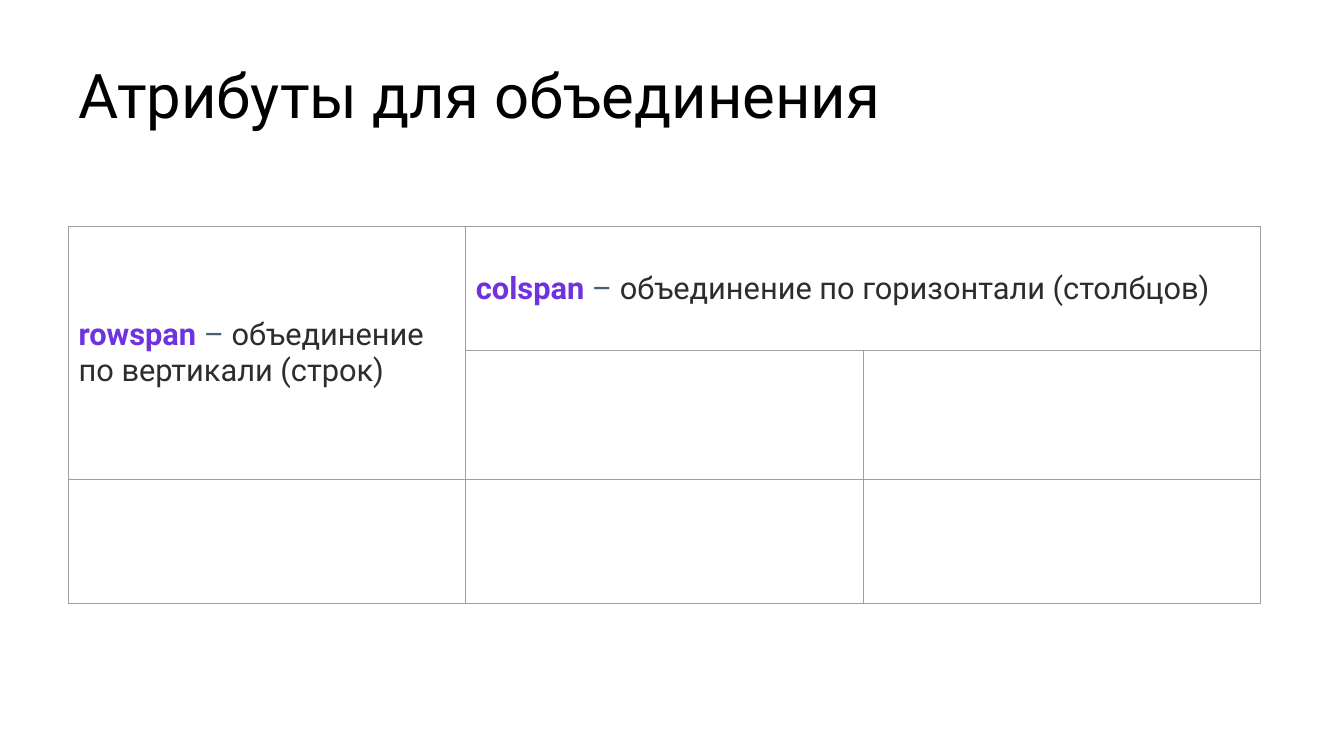
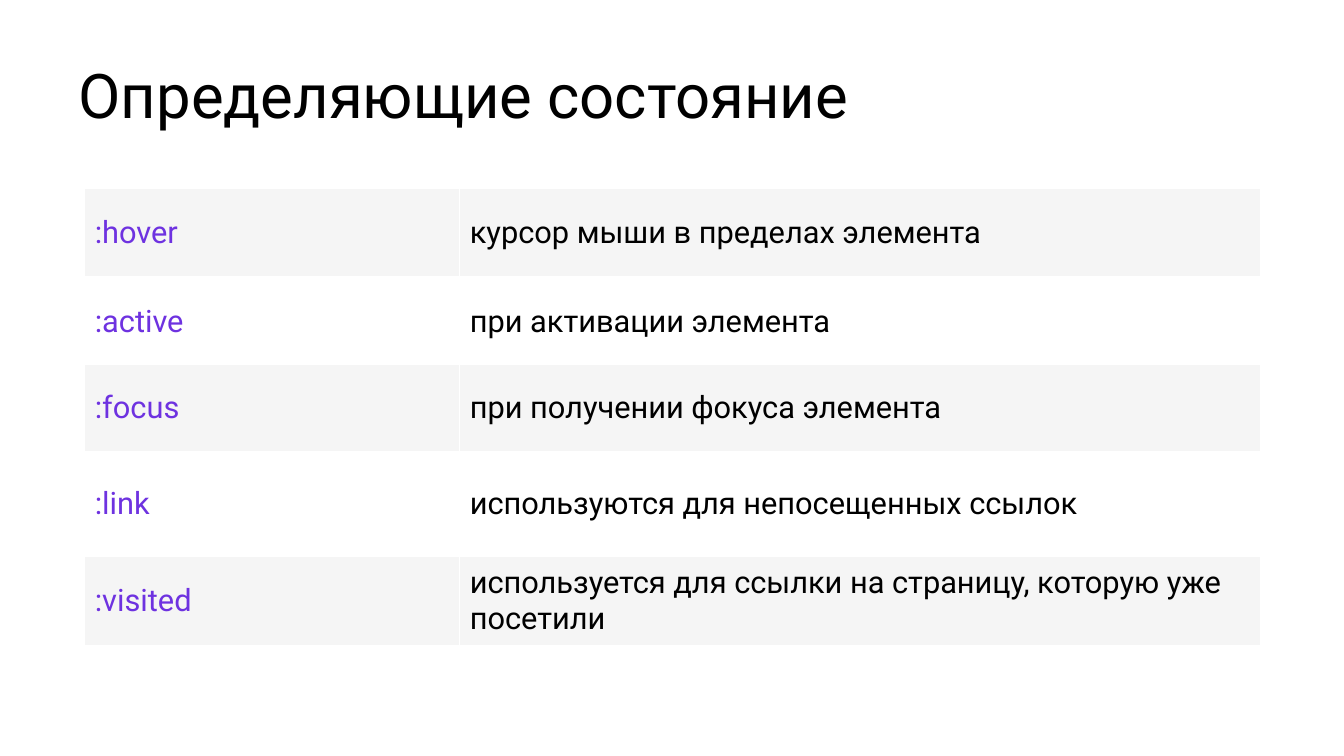
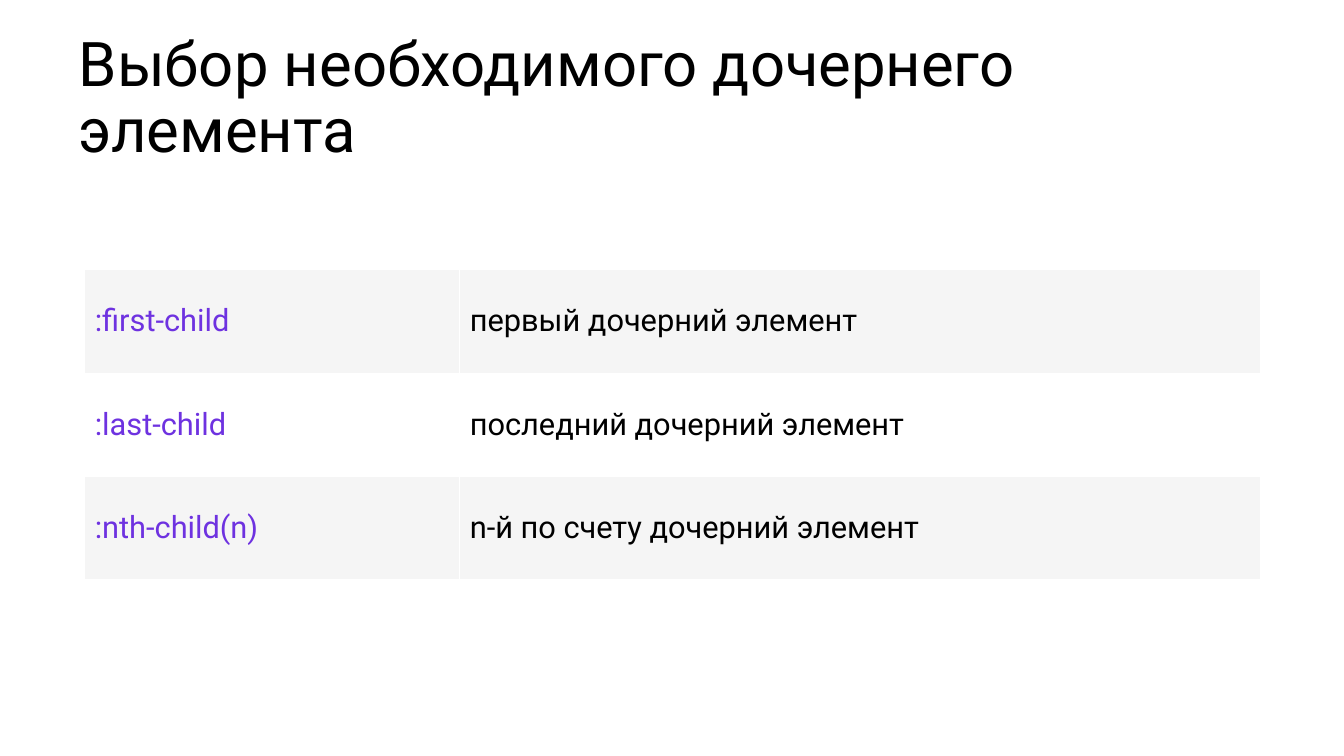
from lxml.etree import SubElement
from pptx import Presentation
from pptx.dml.color import RGBColor as RGB
from pptx.enum.text import MSO_ANCHOR as ANCHOR, MSO_AUTO_SIZE as AUTO, PP_ALIGN as ALIGN
from pptx.oxml.ns import qn
from pptx.util import Inches, Pt

FONT = "Roboto"
COLORS = {
    "title": "000000",
    "text": "000000",
    "accent": "6E32E0",
    "dash": "4C5D6E",
    "dark": "2C2D30",
    "grid": "9E9E9E",
    "band": "F5F5F5",
    "white": "FFFFFF",
}
TITLE_FRAME = {"vertical_anchor": ANCHOR.BOTTOM, "auto_size": AUTO.NONE, "word_wrap": True}
TITLE_PARAGRAPH = {"alignment": ALIGN.LEFT, "line_spacing": 0.9}
SIDES = ("L", "R", "T", "B")


def set_attrs(obj, values):
    for name, value in values.items():
        setattr(obj, name, value)


def add_run(p, text, color, size, bold=False):
    r = p.add_run()
    r.text = text
    set_attrs(r.font, {"name": FONT, "size": Pt(size), "bold": bold})
    r.font.color.rgb = RGB.from_string(COLORS[color])


def add_slide(prs, title, title_height=0.86):
    slide = prs.slides.add_slide(prs.slide_layouts[5])
    sp = slide.shapes.title
    set_attrs(sp, {"left": Inches(0.68), "top": Inches(0.5),
                   "width": Inches(11.82), "height": Inches(title_height)})
    tf = sp.text_frame
    set_attrs(tf, TITLE_FRAME)
    p = tf.paragraphs[0]
    set_attrs(p, TITLE_PARAGRAPH)
    add_run(p, title, "title", 44)
    return slide


def add_plain_table(slide, left, top, widths, heights):
    """Add a table with the given column widths and row heights and no style bands."""
    frame = slide.shapes.add_table(
        len(heights), len(widths), Inches(left), Inches(top),
        Inches(sum(widths)), Inches(sum(heights)))
    table = frame.table
    set_attrs(table, {"first_row": False, "horz_banding": False})
    for column, width in zip(table.columns, widths):
        column.width = Inches(width)
    for row, height in zip(table.rows, heights):
        row.height = Inches(height)
    return table


def format_cell(cell, border, widths, margin, fill=None):
    """Set borders (widths in points by side), vertical margins and fill."""
    set_attrs(cell, {"vertical_anchor": ANCHOR.MIDDLE,
                     "margin_left": Inches(0.1), "margin_right": Inches(0.1),
                     "margin_top": Inches(margin), "margin_bottom": Inches(margin)})
    tc_pr = cell._tc.get_or_add_tcPr()
    for side in SIDES:
        ln = SubElement(tc_pr, qn(f"a:ln{side}"), w=str(Pt(widths[side])))
        solid = SubElement(ln, qn("a:solidFill"))
        SubElement(solid, qn("a:srgbClr"), val=COLORS[border])
    if fill:
        cell.fill.solid()
        cell.fill.fore_color.rgb = RGB.from_string(COLORS[fill])
    else:
        cell.fill.background()


def write_cell(cell, *runs):
    p = cell.text_frame.paragraphs[0]
    for text, color, bold in runs:
        add_run(p, text, color, 22, bold)


def add_span_table(slide):
    table = add_plain_table(slide, 0.68, 2.25, [3.94] * 3, [1.23, 1.28, 1.23])
    for cell in table.iter_cells():
        format_cell(cell, "grid", dict.fromkeys(SIDES, 0.75), 0.1)
    rowspan, colspan = table.cell(0, 0), table.cell(0, 1)
    rowspan.merge(table.cell(1, 0))
    colspan.merge(table.cell(0, 2))
    for cell, name, meaning in (
            (rowspan, "rowspan", "объединение по вертикали (строк)"),
            (colspan, "colspan", "объединение по горизонтали (столбцов)")):
        write_cell(cell, (name, "accent", True), (" – ", "dash", False),
                   (meaning, "dark", False))


def add_selector_table(slide, top, rows, first_band=0):
    """Rows are (height, selector, meaning); every second one is shaded from first_band."""
    table = add_plain_table(slide, 0.84, top, [3.72, 7.94], [row[0] for row in rows])
    for i, (_, *texts) in enumerate(rows):
        widths = {**dict.fromkeys(SIDES, 1), "B": 3 if i == 0 else 1}
        fill = "band" if i % 2 == first_band else "white"
        for j, (text, color) in enumerate(zip(texts, ("accent", "text"))):
            cell = table.cell(i, j)
            format_cell(cell, "white", widths, 0.05, fill)
            if text:
                write_cell(cell, (text, color, False))


def main():
    prs = Presentation()
    prs.slide_width, prs.slide_height = Inches(13.33), Inches(7.5)

    add_span_table(add_slide(prs, "Атрибуты для объединения"))

    add_selector_table(add_slide(prs, "Определяющие состояние"), 1.87, [
        (0.89, ":hover", "курсор мыши в пределах элемента"),
        (0.86, ":active", "при активации элемента"),
        (0.86, ":focus", "при получении фокуса элемента"),
        (1.04, ":link", "используются для непосещенных ссылок"),
        (0.89, ":visited", "используется для ссылки на страницу, которую уже посетили"),
    ])

    add_selector_table(add_slide(prs, "Выбор необходимого дочернего элемента", 1.2), 2.1, [
        (0.56, "", ""),
        (1.05, ":first-child", "первый дочерний элемент"),
        (1.02, ":last-child", "последний дочерний элемент"),
        (1.02, ":nth-child(n)", "n-й по счету дочерний элемент"),
    ], first_band=1)

    prs.save("out.pptx")


if __name__ == "__main__":
    main()
